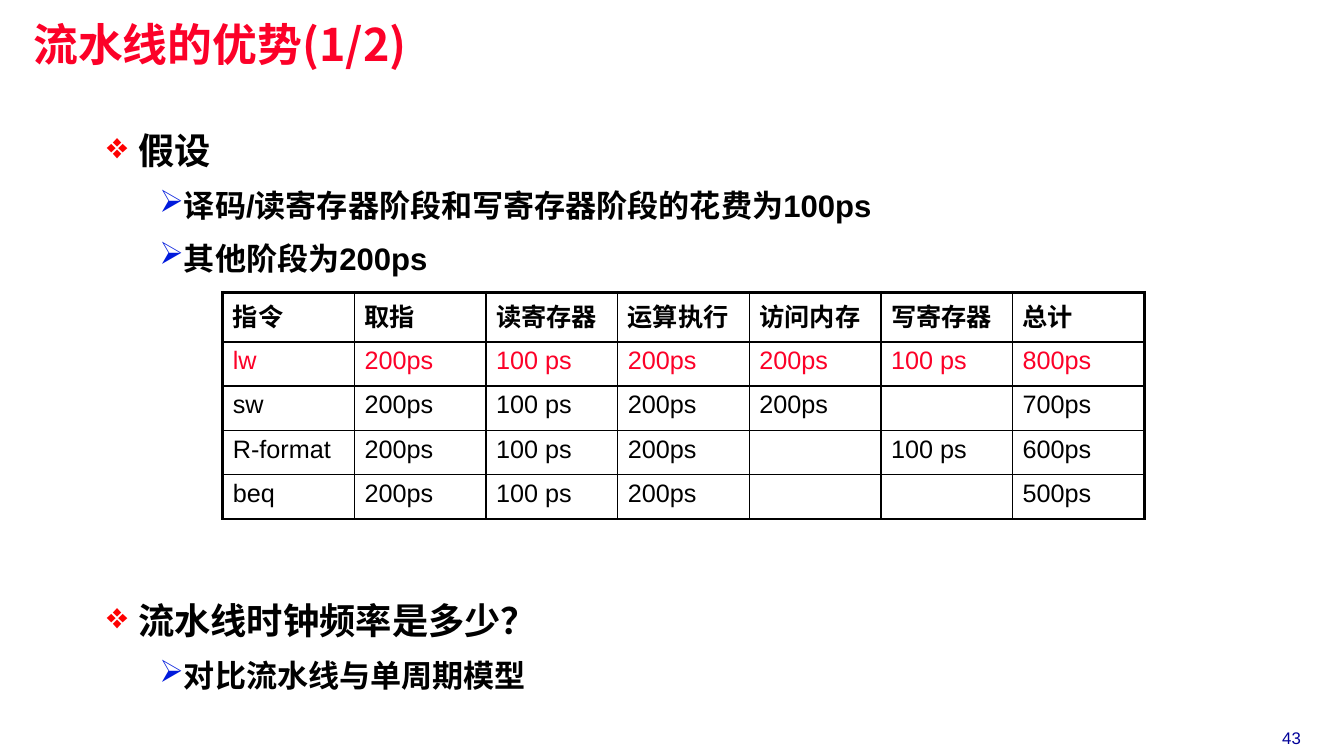
from dataclasses import dataclass
from typing import Any

from lxml import etree
from pptx import Presentation
from pptx import util as u
from pptx.dml.color import RGBColor
from pptx.enum import text
from pptx.oxml import ns

COLORS = {"red": "FC0128", "bullet_red": "FF0000", "bullet_blue": "001ADC",
          "navy": "000099", "black": "000000"}
CJK = "Noto Sans CJK SC"
TIGHT = {"margin_left": u.Inches(0.07), "margin_right": u.Inches(0.07),
         "margin_top": u.Inches(0.03), "margin_bottom": u.Inches(0.03)}


@dataclass(frozen=True)
class Level:
    number: int
    char: str
    color: str
    margin: float
    indent: float
    size: float


@dataclass(frozen=True)
class Line:
    words: str
    level: Level


@dataclass(frozen=True)
class Block:
    top: float
    height: float
    lines: tuple[Line, ...]


TOPIC = Level(0, "❖", "bullet_red", 0.31, -0.31, 25.9)
DETAIL = Level(1, "➢", "bullet_blue", 0.73, -0.21, 22.2)

BLOCKS = (
    Block(1.07, 1.75, (
        Line("假设", TOPIC),
        Line("译码/读寄存器阶段和写寄存器阶段的花费为100ps", DETAIL),
        Line("其他阶段为200ps", DETAIL),
    )),
    Block(5.73, 1.3, (
        Line("流水线时钟频率是多少？", TOPIC),
        Line("对比流水线与单周期模型", DETAIL),
    )),
)

TIMINGS = (
    ("指令", "取指", "读寄存器", "运算执行", "访问内存", "写寄存器", "总计"),
    ("lw", "200ps", "100 ps", "200ps", "200ps", "100 ps", "800ps"),
    ("sw", "200ps", "100 ps", "200ps", "200ps", "", "700ps"),
    ("R-format", "200ps", "100 ps", "200ps", "", "100 ps", "600ps"),
    ("beq", "200ps", "100 ps", "200ps", "", "", "500ps"),
)


def apply(target: Any, values: dict[str, Any]) -> None:
    for name, value in values.items():
        setattr(target, name, value)


def add_run(p: Any, words: str, size: float, color: str, bold: bool = False,
            font: str = "Arial") -> None:
    r = p.add_run()
    r.text = words
    apply(r.font, {"size": u.Pt(size), "bold": bold, "name": font})
    r.font.color.rgb = RGBColor.from_string(COLORS[color])
    ea = etree.SubElement(r.font._element, ns.qn("a:ea"))
    ea.set("typeface", CJK)


def add_box(s: Any, left: float, top: float, width: float, height: float,
            values: dict[str, Any]) -> Any:
    sp = s.shapes.add_textbox(*map(u.Inches, (left, top, width, height)))
    tf = sp.text_frame
    apply(tf, {"word_wrap": True, **values})
    return tf


def add_bullet(p: Any, level: Level) -> None:
    pPr = p._p.get_or_add_pPr()
    pPr.set("marL", str(u.Inches(level.margin)))
    pPr.set("indent", str(u.Inches(level.indent)))
    clr = etree.SubElement(pPr, ns.qn("a:buClr"))
    etree.SubElement(clr, ns.qn("a:srgbClr")).set("val", COLORS[level.color])
    etree.SubElement(pPr, ns.qn("a:buChar")).set("char", level.char)


def add_block(s: Any, block: Block) -> None:
    tf = add_box(s, 0.99, block.top, 9.77, block.height, TIGHT)
    for i, line in enumerate(block.lines):
        p = tf.add_paragraph() if i else tf.paragraphs[0]
        apply(p, {"level": line.level.number, "line_spacing": 1.4})
        add_bullet(p, line.level)
        add_run(p, line.words, line.level.size, "black", bold=True)


def add_borders(cell: Any, widths: dict[str, float]) -> None:
    tcPr = cell._tc.get_or_add_tcPr()
    for side, width in widths.items():
        ln = etree.SubElement(tcPr, ns.qn(f"a:ln{side}"))
        ln.set("w", str(u.Pt(width)))
        fill = etree.SubElement(ln, ns.qn("a:solidFill"))
        etree.SubElement(fill, ns.qn("a:srgbClr")).set("val", COLORS["black"])


def add_timings(s: Any) -> None:
    last_row, last_col = len(TIMINGS) - 1, len(TIMINGS[0]) - 1
    frame = s.shapes.add_table(last_row + 1, last_col + 1,
                               *map(u.Inches, (2.21, 2.9, 9.14, 2.25)))
    table = frame.table
    apply(table, {"first_row": False, "horz_banding": False})
    for i, row in enumerate(TIMINGS):
        table.rows[i].height = u.Inches(0.44 if i else 0.49)
        for j, words in enumerate(row):
            cell = table.cell(i, j)
            add_borders(cell, {
                "L": 1 if j else 2.25,
                "R": 2.25 if j == last_col else 1,
                "T": {0: 2.25, 1: 1.5}.get(i, 1),
                "B": {0: 1.5, last_row: 2.25}.get(i, 1),
            })
            cell.fill.background()
            if words:
                add_run(cell.text_frame.paragraphs[0], words, 18,
                        "red" if i == 1 else "black", bold=i == 0)


def main() -> None:
    prs = Presentation()
    apply(prs, {"slide_width": u.Inches(13.33), "slide_height": u.Inches(7.5)})
    s = prs.slides.add_slide(prs.slide_layouts[6])

    p = add_box(s, 12.34, 7.17, 0.94, 0.3, {}).paragraphs[0]
    p.alignment = text.PP_ALIGN.CENTER
    add_run(p, "43", 12, "navy")

    p = add_box(s, 0.26, 0.21, 7.67, 0.52, TIGHT).paragraphs[0]
    p.line_spacing = 0.87
    add_run(p, "流水线的优势(1/2)", 32, "red", bold=True, font=CJK)

    for block in BLOCKS:
        add_block(s, block)
    add_timings(s)
    prs.save("out.pptx")


if __name__ == "__main__":
    main()
